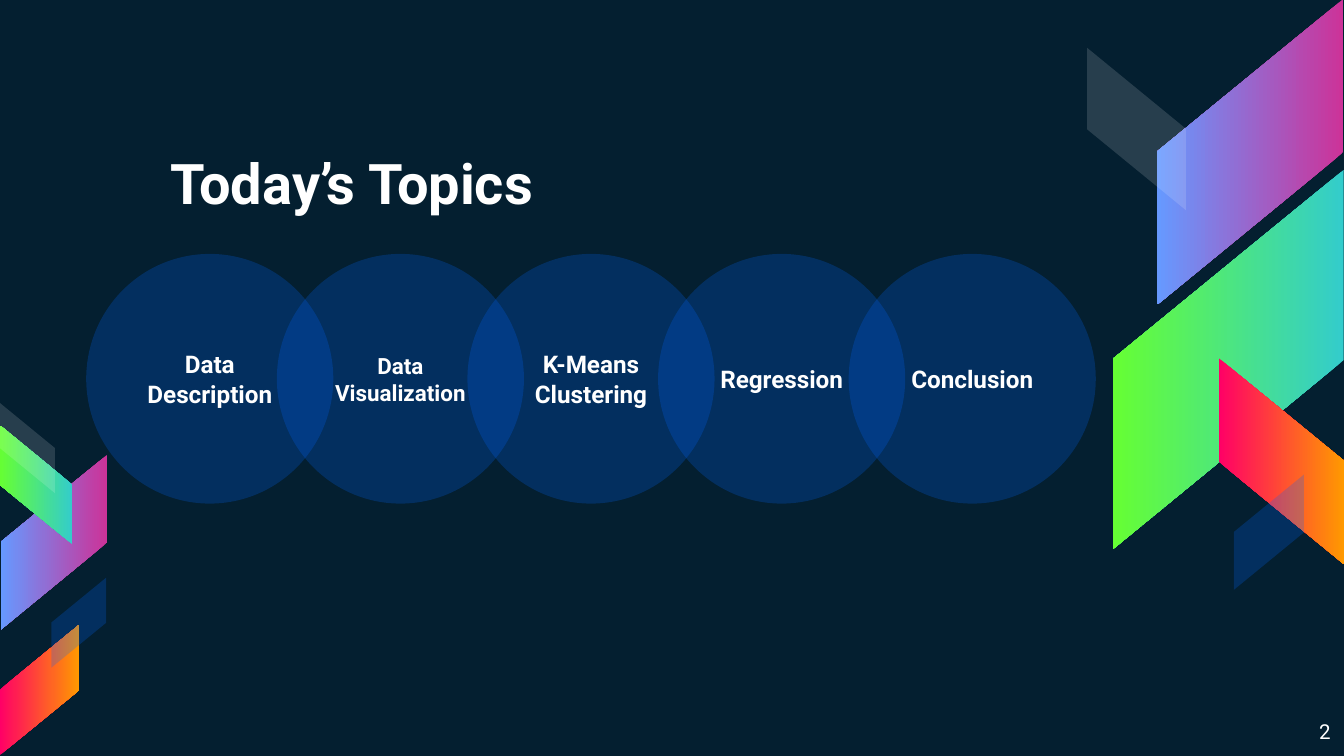
from collections import namedtuple
from dataclasses import dataclass

from lxml.etree import SubElement
from pptx import Presentation
from pptx.dml.color import RGBColor
from pptx.enum.shapes import MSO_SHAPE as Shape
from pptx.enum.text import MSO_ANCHOR as Anchor, PP_ALIGN as Align
from pptx.oxml.ns import qn
from pptx.util import Cm, Pt

Box = namedtuple("Box", "left top width height")  # centimetres
Ribbon = namedtuple("Ribbon", "x y length turn flip paint")  # centre within its region


@dataclass(frozen=True)
class Theme:
    font: str = "Roboto"
    background: str = "041F30"
    text: str = "FFFFFF"
    # A pair of colours is a gradient; a colour with a number is a tint and its opacity
    violet: tuple = ("CC3399", "6699FF")
    green: tuple = ("33CCCC", "66FF33")
    orange: tuple = ("FF0066", "FF9900")
    mist: tuple = ("FFFFFF", 14)
    blue: tuple = ("0066FF", 23)
    title_size: int = 30
    topic_size: int = 13
    small_topic_size: int = 12
    number_size: int = 11
    inset: float = 0.25
    slant: float = 0.819
    ribbon_ratio: float = 0.608


THEME = Theme()

RIGHT_RIBBONS = [
    Ribbon(3.13, 2.87, 5.77, 90, True, THEME.violet),
    Ribbon(2.72, 6.79, 7.16, 90, True, THEME.green),
    Ribbon(3.72, 8.72, 3.89, 270, False, THEME.orange),
    Ribbon(0.98, 2.44, 3.07, 270, False, THEME.mist),
    Ribbon(3.48, 10.06, 2.18, 270, True, THEME.blue),
]
LEFT_RIBBONS = [
    Ribbon(1.02, 2.75, 3.3, 90, True, THEME.violet),
    Ribbon(0.69, 1.67, 2.24, 90, False, THEME.green),
    Ribbon(0.75, 5.54, 2.46, 270, True, THEME.orange),
    Ribbon(0.52, 0.97, 1.7, 270, False, THEME.mist),
    Ribbon(1.49, 4.27, 1.7, 270, True, THEME.blue),
]
TOPICS = [
    ("Data Description", THEME.topic_size),
    ("Data Visualization", THEME.small_topic_size),
    ("K-Means\nClustering", THEME.topic_size),
    ("Regression", THEME.topic_size),
    ("Conclusion", THEME.topic_size),
]


def paint_shape(shape, paint):
    shape.shadow.inherit = False
    shape.line.fill.background()
    start, end = paint
    if isinstance(end, str):
        shape.fill.gradient()
        shape.fill.gradient_angle = 270
        for stop, colour in zip(shape.fill.gradient_stops, paint):
            stop.color.rgb = RGBColor.from_string(colour)
    else:
        shape.fill.solid()
        shape.fill.fore_color.rgb = RGBColor.from_string(start)
        colour = shape._element.spPr.find(qn("a:solidFill"))[0]
        SubElement(colour, qn("a:alpha"), val=str(end * 1000))


def write_text(holder, text, size, align, anchor, bold=False):
    frame = holder.text_frame
    frame.text = text
    frame.word_wrap = True
    frame.vertical_anchor = anchor
    frame.margin_left = frame.margin_right = Cm(THEME.inset)
    frame.margin_top = frame.margin_bottom = Cm(THEME.inset)
    for paragraph in frame.paragraphs:
        paragraph.alignment = align
        for run in paragraph.runs:
            run.font.name = THEME.font
            run.font.size = Pt(size)
            run.font.bold = bold
            run.font.color.rgb = RGBColor.from_string(THEME.text)


def add_ribbons(slide, box, ribbons):
    for ribbon in ribbons:
        depth = ribbon.length * THEME.ribbon_ratio
        band = slide.shapes.add_shape(
            Shape.PARALLELOGRAM,
            Cm(box.left + ribbon.x - ribbon.length / 2),
            Cm(box.top + ribbon.y - depth / 2),
            Cm(ribbon.length), Cm(depth))
        band.adjustments[0] = THEME.slant
        band.rotation = ribbon.turn
        if ribbon.flip:
            band._element.spPr.find(qn("a:xfrm")).set("flipH", "1")
        paint_shape(band, ribbon.paint)


def add_label(slide, box, text, size, align, anchor, bold=False):
    label = slide.shapes.add_textbox(*map(Cm, box))
    write_text(label, text, size, align, anchor, bold)


def add_topic_chain(slide, box, topics, circle_width):
    step = (box.width - circle_width) / (len(topics) - 1)
    for index, (topic, size) in enumerate(topics):
        circle = slide.shapes.add_shape(
            Shape.OVAL, Cm(box.left + index * step), Cm(box.top),
            Cm(circle_width), Cm(box.height))
        paint_shape(circle, THEME.blue)
        write_text(circle, topic, size, Align.CENTER, Anchor.MIDDLE, bold=True)


def main():
    deck = Presentation()
    deck.slide_width, deck.slide_height = Cm(25.4), Cm(14.29)
    slide = deck.slides.add_slide(deck.slide_layouts[6])
    slide.background.fill.solid()
    slide.background.fill.fore_color.rgb = RGBColor.from_string(THEME.background)

    # Decorative ribbons on both edges
    add_ribbons(slide, Box(20.5, 0, 4.9, 11.2), RIGHT_RIBBONS)
    add_ribbons(slide, Box(0, 7.5, 2, 6.79), LEFT_RIBBONS)

    # Title and slide number
    add_label(slide, Box(2.97, 2.54, 16.59, 1.78), "Today’s Topics",
              THEME.title_size, Align.LEFT, Anchor.BOTTOM, bold=True)
    add_label(slide, Box(23.77, 13.36, 1.63, 0.91), "2",
              THEME.number_size, Align.RIGHT, Anchor.TOP)

    # Overlapping topic circles
    add_topic_chain(slide, Box(1.63, 4.8, 19.08, 4.72), TOPICS, circle_width=4.67)

    deck.save("out.pptx")


if __name__ == "__main__":
    main()
